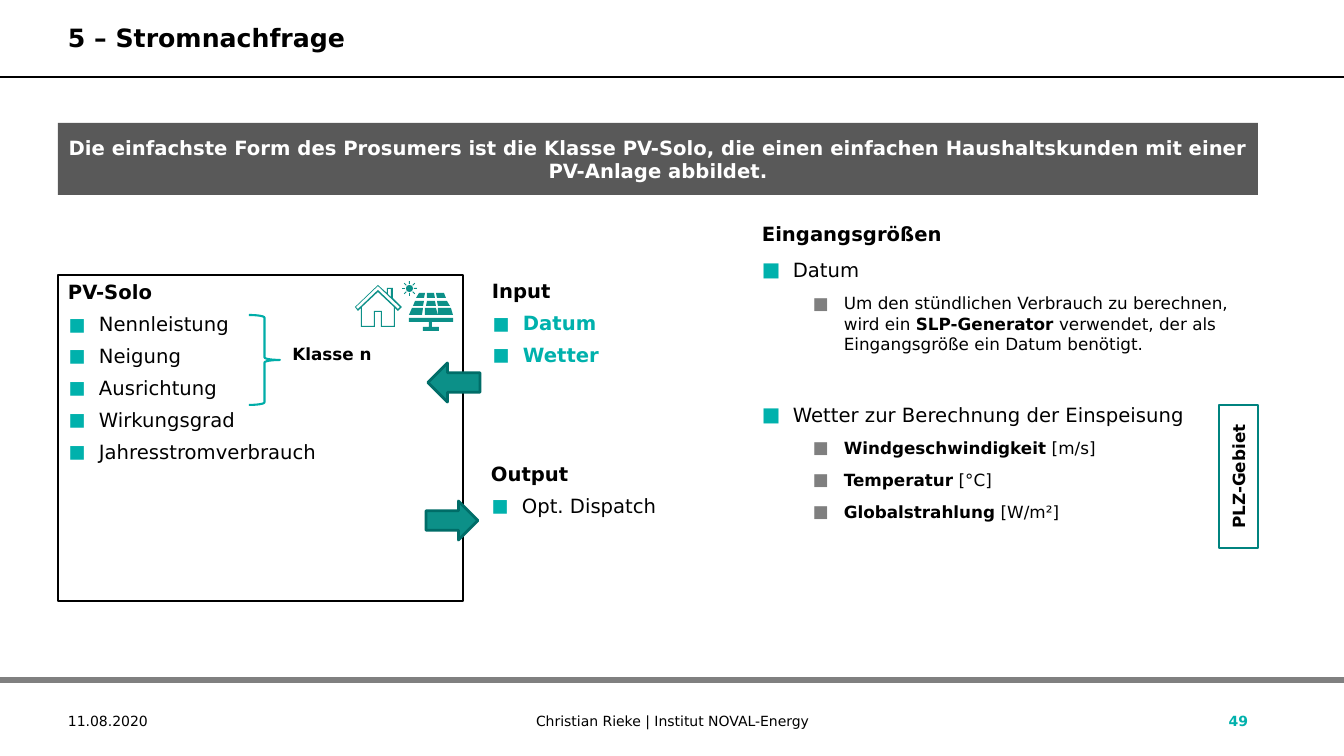
import math
from dataclasses import dataclass
from typing import NamedTuple, Optional

import lxml.etree
import pptx
import pptx.dml.color
import pptx.enum.shapes
import pptx.enum.text
import pptx.oxml.ns
import pptx.util

SCALE = 12192000 / 1344
FONT = "DejaVu Sans"
BLACK, WHITE, GREY = "000000", "FFFFFF", "7F7F7F"
ACCENT, TEAL, DARK_TEAL = "00B1AC", "0C9088", "006D68"

SHAPE = pptx.enum.shapes.MSO_SHAPE
ALIGN = pptx.enum.text.PP_ALIGN
ANCHOR = pptx.enum.text.MSO_ANCHOR


class Box(NamedTuple):
    left: int
    top: int
    width: int
    height: int


class Run(NamedTuple):
    text: str
    bold: bool = False
    color: str = BLACK


class Bullet(NamedTuple):
    char: str
    color: str
    indent: int
    percent: int = 100


@dataclass
class Paragraph:
    runs: list[Run]
    size: int = 14
    bullet: Optional[Bullet] = None
    before: float = 6
    after: float = 0
    align: ALIGN = ALIGN.LEFT


HANGING = 31
SMALL_SQUARE = Bullet("▪", ACCENT, 31, 140)
SQUARE = Bullet("■", ACCENT, 31)
SUB_SQUARE = Bullet("■", GREY, 82)


def px(length: float) -> pptx.util.Emu:
    return pptx.util.Emu(round(length * SCALE))


def rgb(color: str) -> pptx.dml.color.RGBColor:
    return pptx.dml.color.RGBColor.from_string(color)


def add_bullet(paragraph, bullet: Bullet) -> None:
    properties = paragraph._p.get_or_add_pPr()
    properties.set("marL", str(px(bullet.indent)))
    properties.set("indent", str(px(-HANGING)))

    def child(parent, tag: str, **attributes: str):
        return lxml.etree.SubElement(parent, pptx.oxml.ns.qn(tag), attributes)

    child(child(properties, "a:buClr"), "a:srgbClr", val=bullet.color)
    child(properties, "a:buSzPct", val=str(bullet.percent * 1000))
    child(properties, "a:buFont", typeface=FONT)
    child(properties, "a:buChar", char=bullet.char)


def write(shape, paragraphs: list[Paragraph], anchor: ANCHOR = ANCHOR.TOP) -> None:
    frame = shape.text_frame
    frame.word_wrap = True
    frame.vertical_anchor = anchor
    for index, content in enumerate(paragraphs):
        paragraph = frame.add_paragraph() if index else frame.paragraphs[0]
        paragraph.alignment = content.align
        paragraph.space_before = pptx.util.Pt(content.before)
        paragraph.space_after = pptx.util.Pt(content.after)
        if content.bullet:
            add_bullet(paragraph, content.bullet)
        for part in content.runs:
            run = paragraph.add_run()
            run.text = part.text
            run.font.name = FONT
            run.font.size = pptx.util.Pt(content.size)
            run.font.bold = part.bold
            run.font.color.rgb = rgb(part.color)


def paint(shape, fill: Optional[str], line: Optional[str] = None, width: float = 2) -> None:
    shape.shadow.inherit = False
    if fill:
        shape.fill.solid()
        shape.fill.fore_color.rgb = rgb(fill)
    else:
        shape.fill.background()
    if line:
        shape.line.color.rgb = rgb(line)
        shape.line.width = pptx.util.Pt(width)
    else:
        shape.line.fill.background()


def add_text(slide, box: Box, paragraphs: list[Paragraph], anchor: ANCHOR = ANCHOR.TOP) -> None:
    write(slide.shapes.add_textbox(*map(px, box)), paragraphs, anchor)


def add_preset(slide, kind: SHAPE, box: Box, fill: Optional[str],
               line: Optional[str] = None, width: float = 2):
    shape = slide.shapes.add_shape(kind, *map(px, box))
    paint(shape, fill, line, width)
    return shape


def add_outline(slide, *contours: list[tuple[int, int]]) -> None:
    builder = slide.shapes.build_freeform(*contours[0][0], scale=SCALE)
    builder.add_line_segments(contours[0][1:])
    for contour in contours[1:]:
        builder.move_to(*contour[0])
        builder.add_line_segments(contour[1:])
    paint(builder.convert_to_shape(), TEAL)


def add_rule(slide, y: int, color: str, width: float) -> None:
    rule = slide.shapes.add_connector(
        pptx.enum.shapes.MSO_CONNECTOR.STRAIGHT, 0, px(y), px(1344), px(y))
    rule.line.color.rgb = rgb(color)
    rule.line.width = pptx.util.Pt(width)
    lxml.etree.SubElement(rule._element.spPr, pptx.oxml.ns.qn("a:effectLst"))


def headed_list(heading: str, items: list[Run]) -> list[Paragraph]:
    return [Paragraph([Run(heading, True)])] + [
        Paragraph([item], bullet=SMALL_SQUARE) for item in items]


def topic(text: str, before: float = 2.8) -> Paragraph:
    return Paragraph([Run(text)], 14, SQUARE, before, 6)


def detail(*runs: Run) -> Paragraph:
    return Paragraph(list(runs), 12, SUB_SQUARE, 2.4, 6)


def draw_house(slide) -> None:
    silhouette = [(393, 288), (387, 288), (387, 293), (378, 285), (355, 307), (358, 311),
                  (361, 308), (361, 327), (375, 327), (375, 312), (381, 312), (381, 327),
                  (395, 327), (395, 308), (398, 311), (402, 307), (393, 298), (393, 288)]
    chimney = [(388, 289), (391, 289), (391, 297), (388, 294), (388, 289)]
    walls = [(394, 326), (382, 326), (382, 311), (374, 311), (374, 326), (362, 326),
             (362, 307), (378, 292), (394, 307), (394, 326)]
    roof = [(358, 309), (356, 307), (378, 286), (400, 307), (398, 309), (378, 290), (358, 309)]
    add_outline(slide, silhouette, chimney, walls, roof)


def draw_sun(slide) -> None:
    center_x, center_y, reach = 410, 289, 6
    add_preset(slide, SHAPE.OVAL, Box(center_x - 4, center_y - 4, 7, 7), TEAL)
    for angle in range(0, 360, 45):
        x = center_x - 0.5 + reach * math.cos(math.radians(angle))
        y = center_y - 0.5 + reach * math.sin(math.radians(angle))
        ray = add_preset(slide, SHAPE.RECTANGLE, Box(x - 1.5, y - 0.5, 3, 1), TEAL)
        ray.rotation = angle


def draw_solar_panel(slide) -> None:
    cell_rows = {
        (293, 298): [(419, 425, 424, 416), (427, 434, 435, 427), (436, 444, 446, 437)],
        (301, 306): [(415, 424, 423, 413), (427, 435, 436, 426), (437, 447, 450, 438)],
        (308, 315): [(412, 423, 422, 409), (425, 436, 438, 425), (438, 451, 453, 438)],
    }
    for (top, bottom), cells in cell_rows.items():
        for a, b, c, d in cells:
            add_outline(slide, [(a, top), (b, top), (c, bottom), (d, bottom), (a, top)])
    add_outline(slide, [(409, 318), (453, 318), (453, 322), (432, 322), (432, 327), (439, 327),
                        (439, 331), (423, 331), (423, 327), (429, 327), (429, 322), (409, 322),
                        (409, 318)])


def main() -> None:
    presentation = pptx.Presentation()
    presentation.slide_width, presentation.slide_height = px(1344), px(756)
    slide = presentation.slides.add_slide(presentation.slide_layouts[6])

    add_rule(slide, 77, BLACK, 1)
    add_rule(slide, 680, "808080", 4.5)
    add_text(slide, Box(58, 10, 1201, 55),
             [Paragraph([Run("5 – Stromnachfrage", True)], 18, before=3.6, after=6)],
             ANCHOR.MIDDLE)
    for box, run, align in [
        (Box(58, 701, 191, 40), Run("11.08.2020"), ALIGN.LEFT),
        (Box(355, 701, 635, 40), Run("Christian Rieke | Institut NOVAL-Energy"), ALIGN.CENTER),
        (Box(1169, 701, 89, 40), Run("49", True, ACCENT), ALIGN.RIGHT),
    ]:
        add_text(slide, box, [Paragraph([run], 10, before=0, align=align)], ANCHOR.MIDDLE)

    message = add_preset(slide, SHAPE.RECTANGLE, Box(58, 123, 1200, 72), "595959")
    write(message, [Paragraph([Run(
        "Die einfachste Form des Prosumers ist die Klasse PV-Solo, die einen einfachen "
        "Haushaltskunden mit einer PV-Anlage abbildet.", True, WHITE)],
        before=2.8, after=6, align=ALIGN.CENTER)], ANCHOR.MIDDLE)

    add_text(slide, Box(752, 217, 506, 443), [
        Paragraph([Run("Eingangsgrößen", True)], before=2.8, after=6),
        topic("Datum"),
        detail(Run("Um den stündlichen Verbrauch zu berechnen, wird ein "),
               Run("SLP-Generator", True),
               Run(" verwendet, der als Eingangsgröße ein Datum benötigt.")),
        topic("Wetter zur Berechnung der Einspeisung", before=29),
        detail(Run("Windgeschwindigkeit", True), Run(" [m/s]")),
        detail(Run("Temperatur", True), Run(" [°C]")),
        detail(Run("Globalstrahlung", True), Run(" [W/m²]")),
    ])

    pv_solo = add_preset(slide, SHAPE.RECTANGLE, Box(58, 275, 405, 326), WHITE, BLACK)
    write(pv_solo, headed_list("PV-Solo", [Run(name) for name in (
        "Nennleistung", "Neigung", "Ausrichtung", "Wirkungsgrad", "Jahresstromverbrauch")]))
    add_text(slide, Box(482, 274, 270, 99), headed_list(
        "Input", [Run(name, True, ACCENT) for name in ("Datum", "Wetter")]))
    add_text(slide, Box(481, 457, 286, 67), headed_list("Output", [Run("Opt. Dispatch")]))
    add_preset(slide, SHAPE.LEFT_ARROW, Box(428, 363, 52, 39), TEAL, DARK_TEAL)
    add_preset(slide, SHAPE.RIGHT_ARROW, Box(426, 501, 52, 39), TEAL, DARK_TEAL)

    draw_house(slide)
    draw_sun(slide)
    draw_solar_panel(slide)

    add_text(slide, Box(282, 339, 100, 40),
             [Paragraph([Run("Klasse n", True)], 12, align=ALIGN.CENTER)])
    add_preset(slide, SHAPE.RIGHT_BRACE, Box(249, 315, 31, 90), None, "00ADA8", 1.5)
    postcode_area = add_preset(slide, SHAPE.RECTANGLE, Box(1219, 405, 39, 143), None, "00837F")
    write(postcode_area, [Paragraph([Run("PLZ-Gebiet", True)], 12, before=0,
                                    align=ALIGN.CENTER)], ANCHOR.MIDDLE)
    postcode_area.text_frame._txBody.bodyPr.set("vert", "vert270")

    presentation.save("out.pptx")


if __name__ == "__main__":
    main()
